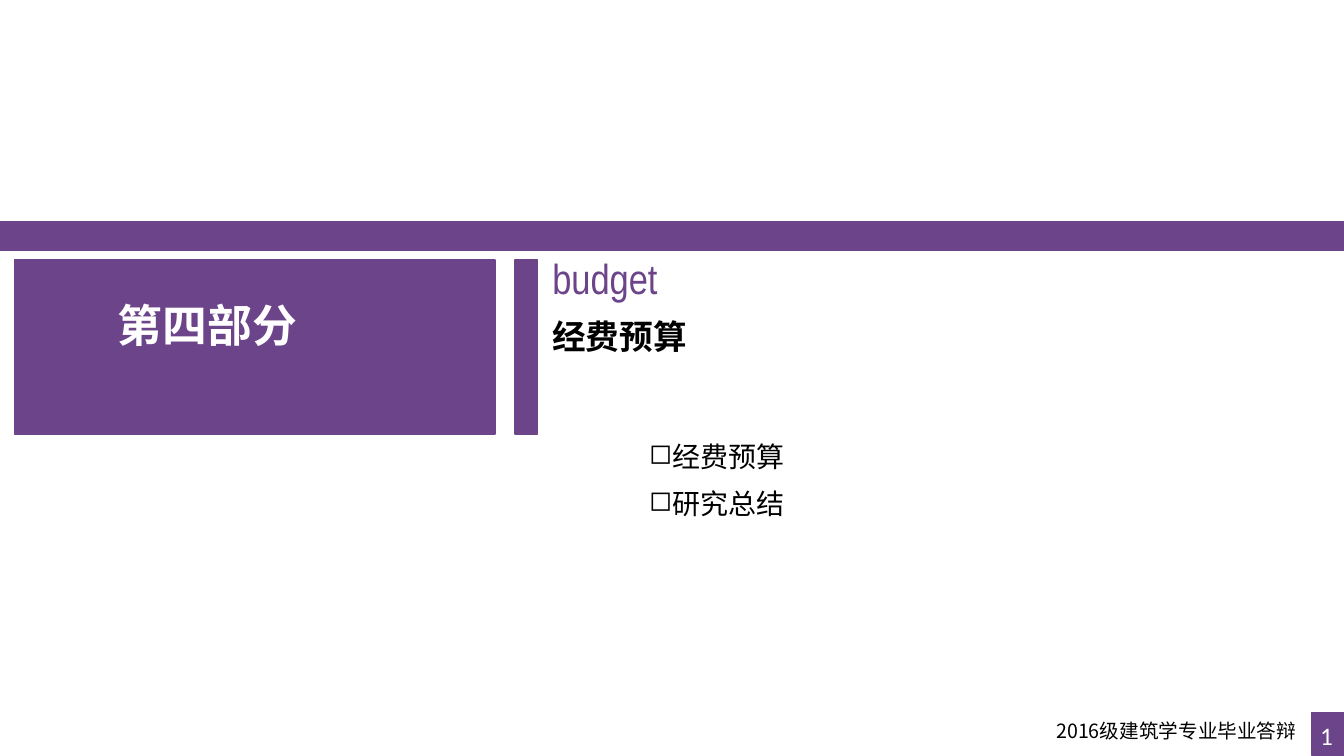
from dataclasses import dataclass

from lxml import etree
from pptx import Presentation
from pptx.dml.color import RGBColor
from pptx.enum.shapes import MSO_SHAPE
from pptx.enum.text import MSO_AUTO_SIZE
from pptx.oxml.ns import qn
from pptx.slide import Slide
from pptx.util import Cm, Pt

RECTANGLE = MSO_SHAPE.RECTANGLE
GROW = MSO_AUTO_SIZE.SHAPE_TO_FIT_TEXT


@dataclass(frozen=True)
class Theme:
    purple: RGBColor = RGBColor(0x6C, 0x44, 0x8A)
    black: RGBColor = RGBColor(0, 0, 0)
    white: RGBColor = RGBColor(255, 255, 255)
    chinese: str = "Noto Sans CJK SC"
    english: str = "Arial Narrow"
    number: str = "Calibri"
    section_size: int = 32
    subtitle_size: int = 30
    title_size: int = 24
    topic_size: int = 20
    page_size: int = 18
    footer_size: int = 14


THEME = Theme()


@dataclass(frozen=True)
class Frame:
    """Position and size in centimetres."""
    left: float
    top: float
    width: float
    height: float

    def lengths(self) -> tuple[Cm, Cm, Cm, Cm]:
        return Cm(self.left), Cm(self.top), Cm(self.width), Cm(self.height)


@dataclass(frozen=True)
class Label:
    text: str
    frame: Frame
    size: int
    color: RGBColor = THEME.black
    font: str = THEME.chinese
    bold: bool = False
    wrap: bool = False
    bullet: str = ""
    margins: tuple[float, float] = (0.18, 0.1)


SLIDE_WIDTH, SLIDE_HEIGHT = 33.87, 19.05
PANEL_TOP, PANEL_HEIGHT = 6.55, 4.39
HEADING_LEFT = 13.74
TOPIC_TOP, TOPIC_STEP = 10.97, 1.19
BULLET_INDENT = 0.58
FOOTER_MARGINS = (0.25, 0.13)

BLOCKS = [
    Frame(0.36, PANEL_TOP, 12.12, PANEL_HEIGHT),
    Frame(0, 5.59, SLIDE_WIDTH, 0.71),
    Frame(12.98, PANEL_TOP, 0.56, PANEL_HEIGHT),
    Frame(33.05, 17.96, 0.82, 1.07),
]

TOPICS = [
    Label(topic, Frame(16.18, TOPIC_TOP + row * TOPIC_STEP, 3.86, 1.04),
          THEME.topic_size, bullet="◻")
    for row, topic in enumerate(["经费预算", "研究总结"])
]

LABELS = TOPICS + [
    Label("budget", Frame(HEADING_LEFT, 6.27, 3.48, 1.47), THEME.subtitle_size,
          THEME.purple, THEME.english),
    Label("经费预算", Frame(HEADING_LEFT, 7.85, 3.81, 1.22), THEME.title_size, bold=True),
    Label("第四部分", Frame(2.79, 7.39, 5.74, 2.72), THEME.section_size,
          THEME.white, bold=True, wrap=True),
    Label("2016级建筑学专业毕业答辩", Frame(26.37, 17.98, 7.5, 1.02), THEME.footer_size,
          wrap=True, margins=FOOTER_MARGINS),
    Label("1", Frame(33.02, 18.03, 0.64, 1.02), THEME.page_size, THEME.white,
          THEME.number, wrap=True, margins=FOOTER_MARGINS),
]


def add_block(page: Slide, frame: Frame) -> None:
    block = page.shapes.add_shape(RECTANGLE, *frame.lengths())
    block.shadow.inherit = False
    block.fill.solid()
    block.fill.fore_color.rgb = THEME.purple
    block.line.color.rgb = THEME.purple
    block.line.width = Pt(1)


def add_label(page: Slide, label: Label) -> None:
    box = page.shapes.add_textbox(*label.frame.lengths())
    frame = box.text_frame
    frame.word_wrap = label.wrap
    frame.auto_size = GROW
    side, edge = label.margins
    frame.margin_left = frame.margin_right = Cm(side)
    frame.margin_top = frame.margin_bottom = Cm(edge)

    para = frame.paragraphs[0]
    if label.bullet:
        properties = para._p.get_or_add_pPr()
        properties.set("marL", str(Cm(BULLET_INDENT)))
        properties.set("indent", str(-Cm(BULLET_INDENT)))
        etree.SubElement(properties, qn("a:buChar")).set("char", label.bullet)

    span = para.add_run()
    span.text = label.text
    span.font.size = Pt(label.size)
    span.font.bold = label.bold
    span.font.color.rgb = label.color
    span.font.name = label.font
    east_asian = etree.SubElement(span.font._element, qn("a:ea"))
    east_asian.set("typeface", label.font)


def main() -> None:
    deck = Presentation()
    deck.slide_width, deck.slide_height = Cm(SLIDE_WIDTH), Cm(SLIDE_HEIGHT)
    page = deck.slides.add_slide(deck.slide_layouts[6])
    for block in BLOCKS:
        add_block(page, block)
    for label in LABELS:
        add_label(page, label)
    deck.save("out.pptx")


if __name__ == "__main__":
    main()
